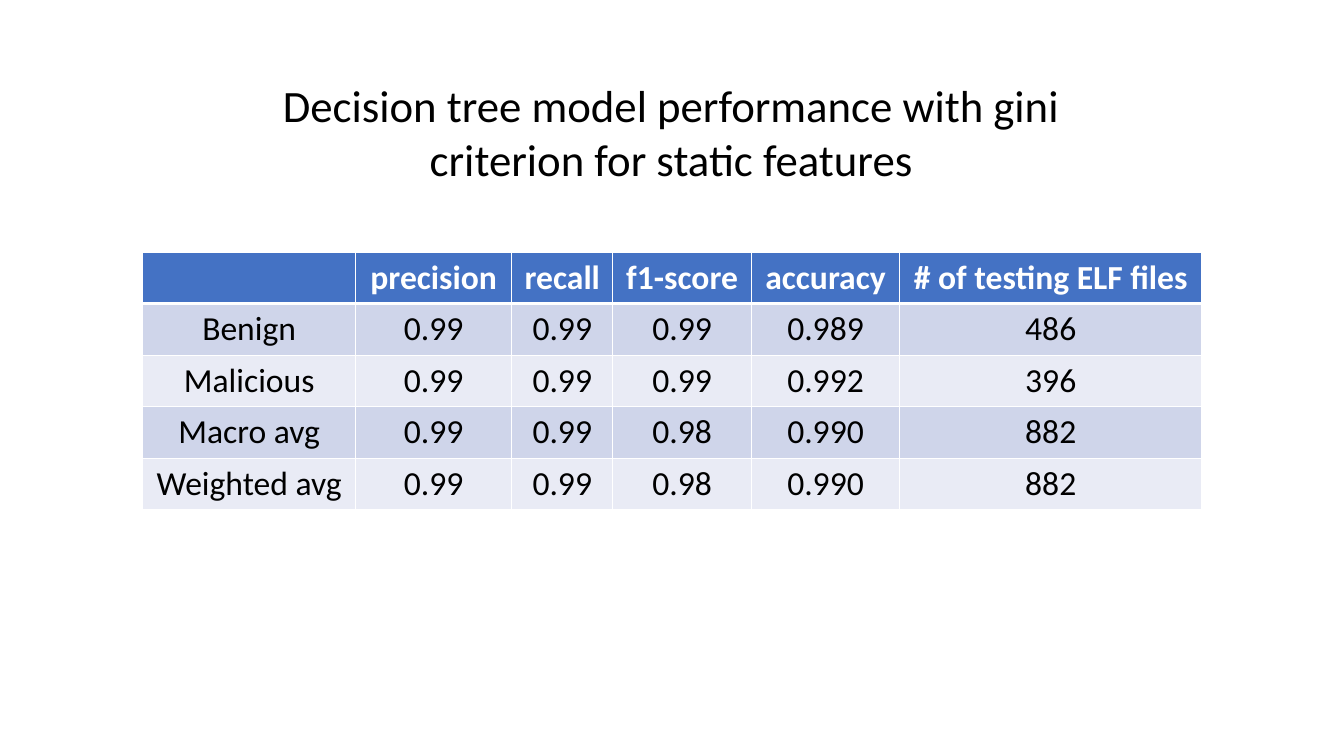
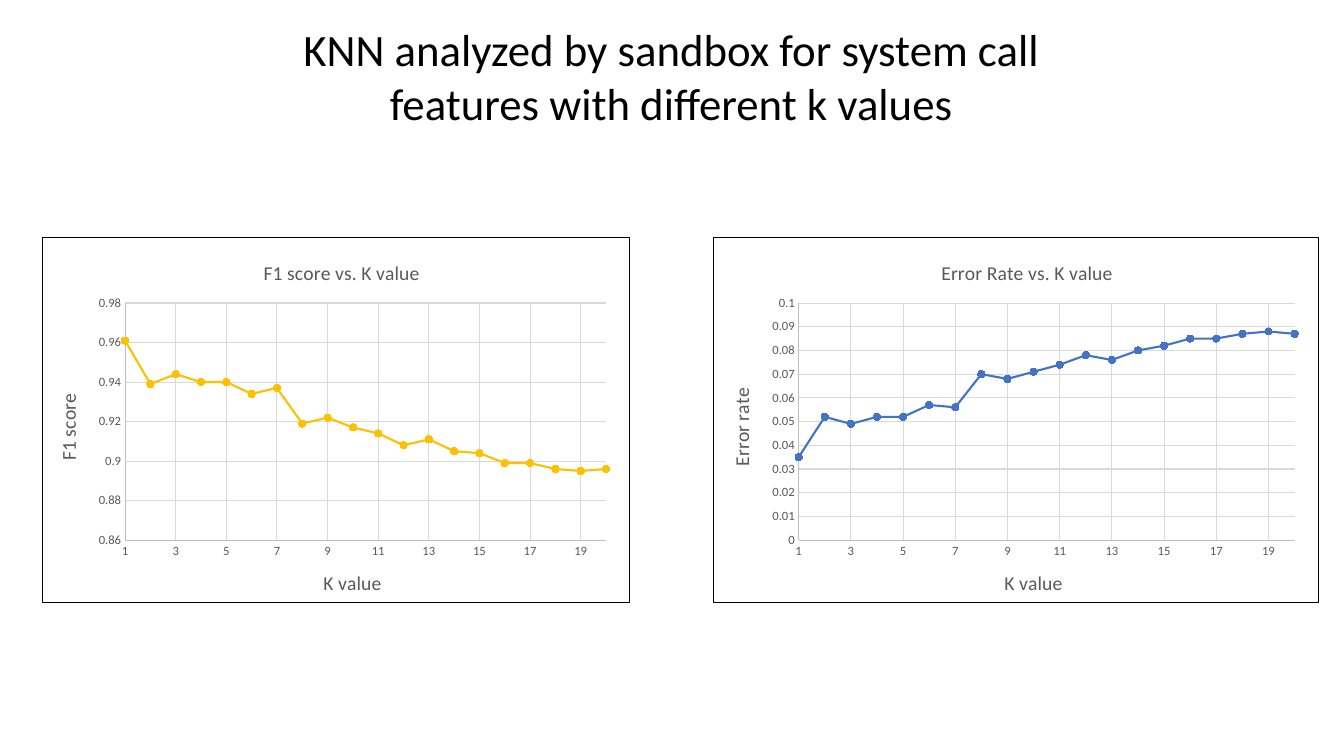
import dataclasses

import lxml.etree
import pptx
import pptx.chart.data
import pptx.dml.color
import pptx.enum.chart
import pptx.enum.text
import pptx.oxml.ns
import pptx.util

Cm = pptx.util.Cm
Pt = pptx.util.Pt
qn = pptx.oxml.ns.qn


@dataclasses.dataclass(frozen=True)
class Theme:
    font: str = "Calibri"
    black: str = "000000"
    white: str = "FFFFFF"
    blue: str = "4472C4"
    gold: str = "FFC000"
    odd_row: str = "CFD5EA"
    even_row: str = "E9EBF5"
    chart_text: str = "595959"
    axis: str = "BFBFBF"
    grid: str = "D9D9D9"
    title_size: int = 32
    table_size: int = 24
    chart_title_size: int = 14
    chart_size: int = 10
    tick_size: int = 9
    hairline: float = 0.75
    series_line: float = 1.5
    cell_border: int = 1
    header_border: int = 3


def apply(target, values):
    for name, value in values.items():
        setattr(target, name, value)


def rgb(color):
    return pptx.dml.color.RGBColor.from_string(color)


def add_child(parent, tag, **attributes):
    return lxml.etree.SubElement(parent, qn(tag), attributes)


def add_solid_fill(parent, color):
    add_child(add_child(parent, "a:solidFill"), "a:srgbClr", val=color)


def add_line(parent, tag, color, width):
    line = add_child(parent, tag, w=str(Pt(width)))
    add_solid_fill(line, color)


def set_layout(parent, position, target=None, **edges):
    layout = parent.find(qn("c:layout"))
    if layout is None:
        layout = add_child(parent, "c:layout")
        parent.insert(position, layout)
    manual = add_child(layout, "c:manualLayout")
    if target:
        add_child(manual, "c:layoutTarget", val=target)
    for mode in ("c:xMode", "c:yMode"):
        add_child(manual, mode, val="edge")
    for edge, fraction in edges.items():
        add_child(manual, f"c:{edge}", val=str(fraction))


class Deck:
    """Hold the presentation, its theme and the slide being built."""

    def __init__(self, theme):
        self.theme = theme
        self.presentation = pptx.Presentation()
        apply(self.presentation, {"slide_width": Cm(33.87), "slide_height": Cm(19.05)})
        self.slide = None

    def style_font(self, font, size, color, bold=False):
        apply(font, {"name": self.theme.font, "size": Pt(size), "bold": bold})
        font.color.rgb = rgb(color)

    def style_line(self, line, color, width):
        line.color.rgb = rgb(color)
        line.width = Pt(width)

    def add_slide(self, title, top):
        layout = self.presentation.slide_layouts.get_by_name("Title Only")
        self.slide = self.presentation.slides.add_slide(layout)
        shape = self.slide.shapes.title
        apply(shape, {"left": Cm(5.92), "top": Cm(top), "width": Cm(22), "height": Cm(3)})
        apply(shape.text_frame, {
            "text": title,
            "word_wrap": True,
            "vertical_anchor": pptx.enum.text.MSO_ANCHOR.TOP,
            "auto_size": pptx.enum.text.MSO_AUTO_SIZE.SHAPE_TO_FIT_TEXT,
        })
        paragraph = shape.text_frame.paragraphs[0]
        paragraph.alignment = pptx.enum.text.PP_ALIGN.CENTER
        self.style_font(paragraph.runs[0].font, self.theme.title_size, self.theme.black)

    def add_table(self, rows, left, top, column_widths, row_height):
        frame = self.slide.shapes.add_table(
            len(rows), len(column_widths), Cm(left), Cm(top),
            Cm(sum(column_widths)), Cm(row_height * len(rows)))
        table = frame.table
        for column, width in zip(table.columns, column_widths):
            column.width = Cm(width)
        for row_index, row in enumerate(rows):
            table.rows[row_index].height = Cm(row_height)
            for column_index, text in enumerate(row):
                self.fill_cell(table.cell(row_index, column_index), text, row_index)

    def fill_cell(self, cell, text, row_index):
        theme = self.theme
        header = row_index == 0
        cell.vertical_anchor = pptx.enum.text.MSO_ANCHOR.MIDDLE
        widths = dict.fromkeys("LRTB", theme.cell_border)
        if header:
            widths["B"] = theme.header_border
        elif row_index == 1:
            widths["T"] = theme.header_border
        for side, width in widths.items():
            add_line(cell._tc.get_or_add_tcPr(), f"a:ln{side}", theme.white, width)
        band = theme.odd_row if row_index % 2 else theme.even_row
        cell.fill.solid()
        cell.fill.fore_color.rgb = rgb(theme.blue if header else band)
        cell.text = text
        paragraph = cell.text_frame.paragraphs[0]
        paragraph.alignment = pptx.enum.text.PP_ALIGN.CENTER
        color = theme.white if header else theme.black
        self.style_font(paragraph.font, theme.table_size, color, header)
        for run in paragraph.runs:
            self.style_font(run.font, theme.table_size, color, header)

    def add_scatter(self, title, value_title, values, color, scale, left, width):
        theme = self.theme
        data = pptx.chart.data.XyChartData()
        points = data.add_series("Series 1")
        for k, value in enumerate(values, start=1):
            points.add_data_point(k, value)
        chart = self.slide.shapes.add_chart(
            pptx.enum.chart.XL_CHART_TYPE.XY_SCATTER_LINES,
            Cm(left), Cm(5.97), Cm(width), Cm(9.22), data).chart
        chart.has_legend = False
        self.style_font(chart.font, theme.chart_size, theme.black)
        self.add_caption(chart.chart_title, title)
        set_layout(chart.element.find(".//" + qn("c:title")), 1, x=0.37, y=0.05)
        set_layout(chart.element.find(".//" + qn("c:plotArea")), 0, "inner",
                   x=0.14, y=0.18, w=0.82, h=0.65)
        self.style_axis(chart.category_axis, "K value", (1, 20, 2))
        self.style_axis(chart.value_axis, value_title, scale)
        body = chart.value_axis.axis_title.text_frame._txBody.find(qn("a:bodyPr"))
        body.set("rot", "-5400000")
        body.set("vert", "horz")
        self.style_series(chart.plots[0], color)
        self.frame_chart(chart)

    def add_caption(self, title, text):
        title.text_frame.text = text
        run = title.text_frame.paragraphs[0].runs[0]
        self.style_font(run.font, self.theme.chart_title_size, self.theme.chart_text)

    def style_axis(self, axis, title, scale):
        theme = self.theme
        minimum, maximum, unit = scale
        apply(axis, {
            "minimum_scale": minimum,
            "maximum_scale": maximum,
            "major_unit": unit,
            "has_major_gridlines": True,
            "major_tick_mark": pptx.enum.chart.XL_TICK_MARK.NONE,
            "minor_tick_mark": pptx.enum.chart.XL_TICK_MARK.NONE,
        })
        apply(axis.tick_labels, {"number_format": "General", "number_format_is_linked": False})
        self.style_font(axis.tick_labels.font, theme.tick_size, theme.chart_text)
        self.style_line(axis.format.line, theme.axis, theme.hairline)
        self.style_line(axis.major_gridlines.format.line, theme.grid, theme.hairline)
        self.add_caption(axis.axis_title, title)

    def style_series(self, plot, color):
        plot.vary_by_categories = False
        series = plot.series[0]
        self.style_line(series.format.line, color, self.theme.series_line)
        marker = series.marker
        apply(marker, {"style": pptx.enum.chart.XL_MARKER_STYLE.CIRCLE, "size": 5})
        marker.format.fill.solid()
        marker.format.fill.fore_color.rgb = rgb(color)
        self.style_line(marker.format.line, color, self.theme.hairline)

    def frame_chart(self, chart):
        properties = add_child(chart.element, "c:spPr")
        add_solid_fill(properties, self.theme.white)
        add_line(properties, "a:ln", self.theme.black, self.theme.hairline)
        chart.element.find(qn("c:chart")).addnext(properties)


PERFORMANCE = [
    ("", "precision", "recall", "f1-score", "accuracy", "# of testing ELF files"),
    ("Benign", "0.99", "0.99", "0.99", "0.989", "486"),
    ("Malicious", "0.99", "0.99", "0.99", "0.992", "396"),
    ("Macro avg", "0.99", "0.99", "0.98", "0.990", "882"),
    ("Weighted avg", "0.99", "0.99", "0.98", "0.990", "882"),
]
ERROR_RATES = [0.035, 0.052, 0.049, 0.052, 0.052, 0.057, 0.056, 0.07, 0.068, 0.071,
               0.074, 0.078, 0.076, 0.08, 0.082, 0.085, 0.085, 0.087, 0.088, 0.087]
F1_SCORES = [0.961, 0.939, 0.944, 0.94, 0.94, 0.934, 0.937, 0.919, 0.922, 0.917,
             0.914, 0.908, 0.911, 0.905, 0.904, 0.899, 0.899, 0.896, 0.895, 0.896]


def main():
    theme = Theme()
    deck = Deck(theme)

    deck.add_slide("Decision tree model performance with gini criterion for static features", 1.83)
    deck.add_table(PERFORMANCE, 3.6, 6.35, (5.36, 3.94, 2.54, 3.5, 3.73, 7.62), 1.3)

    deck.add_slide("KNN analyzed by sandbox for system call features with different k values", 0.43)
    deck.add_scatter("Error Rate vs. K value", "Error rate", ERROR_RATES, theme.blue,
                     (0, 0.1, 0.01), left=17.98, width=15.27)
    deck.add_scatter("F1 score vs. K value", "F1 score", F1_SCORES, theme.gold,
                     (0.86, 0.98, 0.02), left=1.07, width=14.81)

    deck.presentation.save("out.pptx")


if __name__ == "__main__":
    main()
